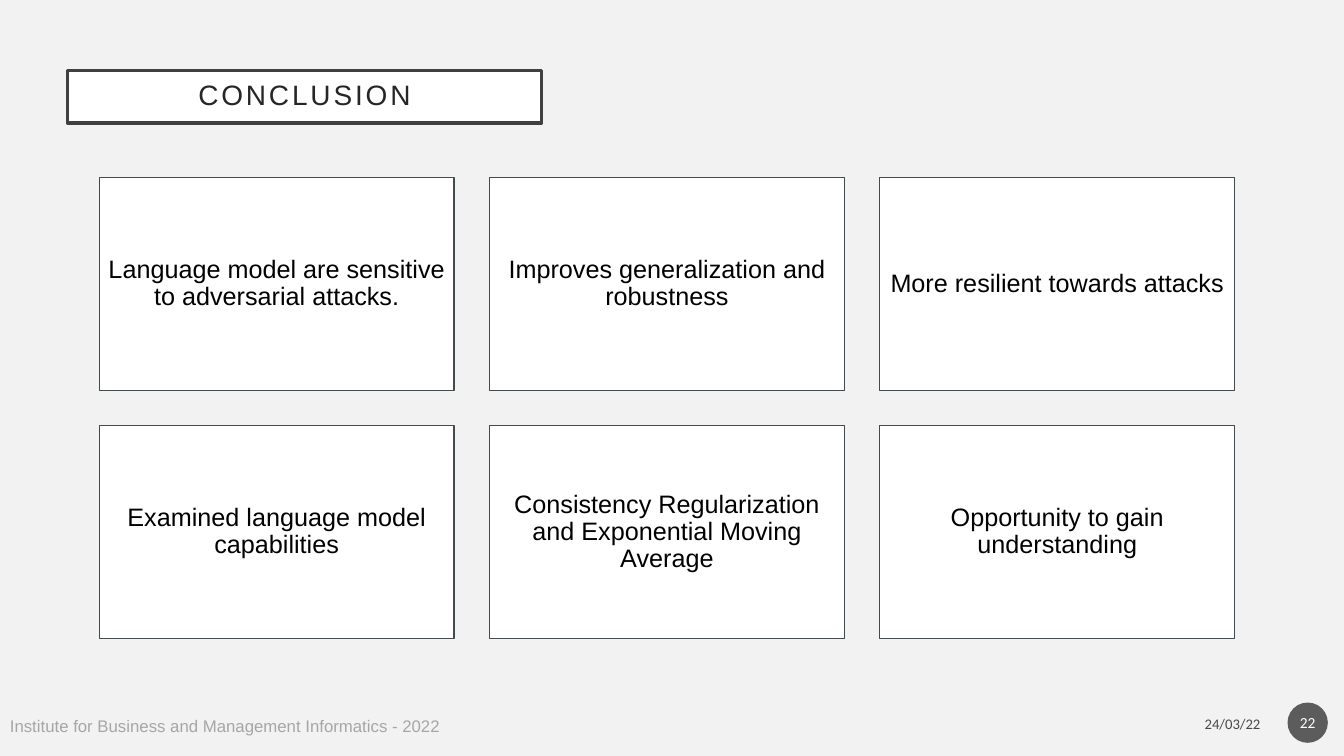
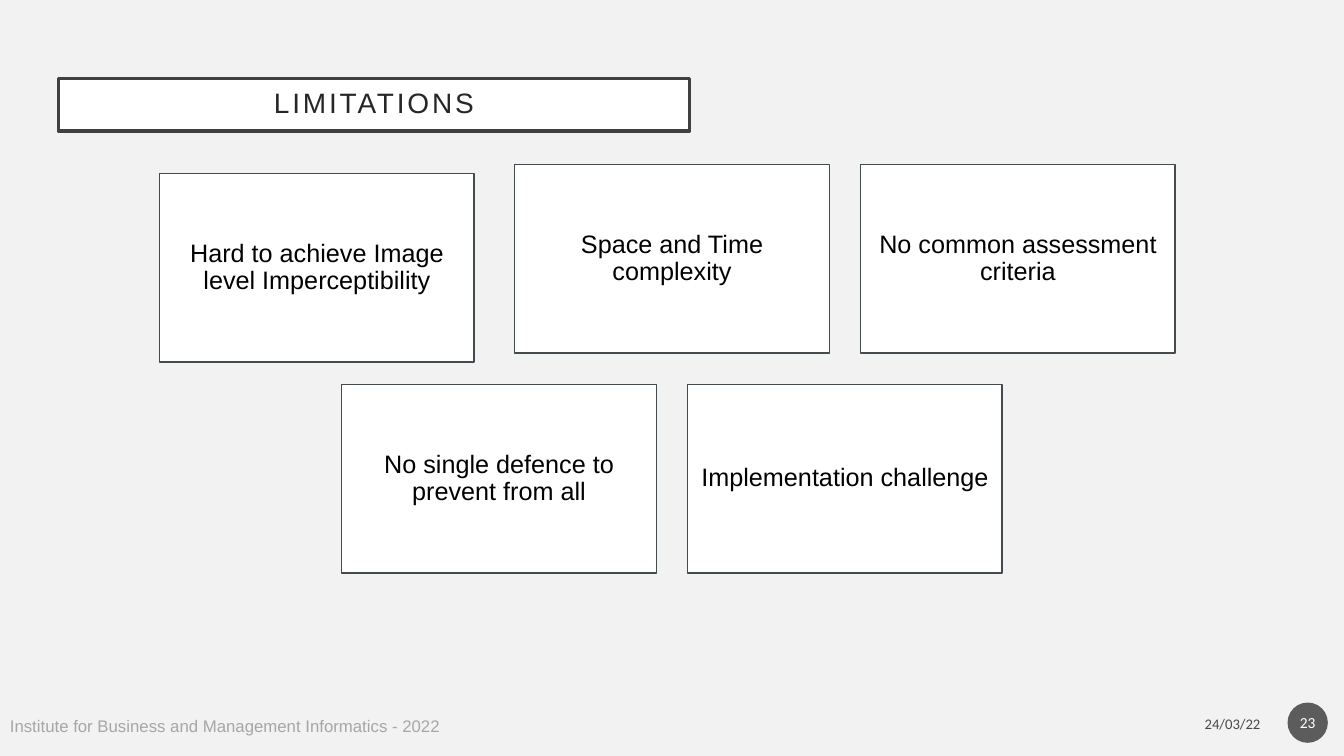
from dataclasses import dataclass

from lxml.etree import SubElement
from pptx import Presentation
from pptx.dml.color import RGBColor as Color
from pptx.enum.shapes import MSO_SHAPE as Shape
from pptx.enum.text import MSO_ANCHOR as Anchor, MSO_AUTO_SIZE as AutoSize, PP_ALIGN as Align
from pptx.oxml.ns import qn
from pptx.util import Inches, Pt


@dataclass(frozen=True)
class Theme:
    page: Color = Color.from_string("F2F2F2")
    panel: Color = Color.from_string("FFFFFF")
    title_ink: Color = Color.from_string("262626")
    title_edge: Color = Color.from_string("404040")
    card_ink: Color = Color.from_string("000000")
    card_edge: Color = Color.from_string("434B4E")
    footer_ink: Color = Color.from_string("A6A6A6")
    badge: Color = Color.from_string("1D1D1D")
    heading_font: str = "Arial"
    detail_font: str = "Calibri"
    title_size: float = 20
    card_size: float = 18
    footer_size: float = 12
    date_size: float = 10.5
    number_size: float = 11
    opacity: str = "70000"


theme = Theme()
deck = Presentation()
deck.slide_width, deck.slide_height = Inches(13.33), Inches(7.5)
ASPECT = deck.slide_width / deck.slide_height
CARD_RATIO = 0.6
GAP_RATIO = 0.1


def area(left, top, width, height):
    across, down = deck.slide_width / 100, deck.slide_height / 100
    return [int(left * across), int(top * down), int(width * across), int(height * down)]


def write(shape, text, size, ink, font=theme.heading_font, align=Align.CENTER, inset=(0.1, 0.05), spacing=1.0):
    frame = shape.text_frame
    frame.text = text
    frame.word_wrap = True
    frame.auto_size = AutoSize.NONE
    frame.vertical_anchor = Anchor.MIDDLE
    frame.margin_left = frame.margin_right = Inches(inset[0])
    frame.margin_top = frame.margin_bottom = Inches(inset[1])
    para = frame.paragraphs[0]
    para.alignment = align
    para.line_spacing = spacing
    para.font.name, para.font.size, para.font.color.rgb = font, Pt(size), ink
    return para


slides = [
    {
        "title": "CONCLUSION",
        "title_area": (5.03, 9.33, 35.26, 6.93),
        "number": "22",
        "card_width": 26.4,
        "centre": 49.62,
        "top": 23.47,
        "nudge": 0,
        "rows": [
            ["Language model are sensitive to adversarial attacks.",
             "Improves generalization and robustness",
             "More resilient towards attacks"],
            ["Examined language model capabilities",
             "Consistency Regularization and Exponential Moving Average",
             "Opportunity to gain understanding"],
        ],
    },
    {
        "title": "LIMITATIONS",
        "title_area": (4.35, 10.4, 46.96, 6.93),
        "number": "23",
        "card_width": 23.4,
        "centre": 50,
        "top": 21.73,
        "nudge": 0.68,
        "rows": [
            ["Hard to achieve Image level Imperceptibility",
             "Space and Time complexity",
             "No common assessment criteria"],
            ["No single defence to prevent from all",
             "Implementation challenge"],
        ],
    },
]

master = deck.slide_master
master.background.fill.solid()
master.background.fill.fore_color.rgb = theme.page

for content in slides:
    page = deck.slides.add_slide(deck.slide_layouts.get_by_name("Title Only"))

    if content is slides[0]:
        footer = page.shapes.add_textbox(*area(0, 94, 33.83, 4))
        write(footer, "Institute for Business and Management Informatics - 2022",
              theme.footer_size, theme.footer_ink, align=Align.LEFT)
        footer.text_frame.word_wrap = False
        master.shapes._spTree.append(footer._element)

    title = page.shapes.title
    title.left, title.top, title.width, title.height = area(*content["title_area"])
    title.fill.solid()
    title.fill.fore_color.rgb = theme.panel
    title.line.color.rgb = theme.title_edge
    title.line.width = Pt(2.5)
    para = write(title, content["title"], theme.title_size, theme.title_ink, inset=(0.2, 0.2), spacing=0.9)
    para.runs[0].font._element.set("spc", "200")

    date = page.shapes.add_textbox(*area(71.94, 93.33, 22.58, 4.67))
    para = write(date, "24/03/22", theme.date_size, theme.card_ink, theme.detail_font, Align.RIGHT)

    badge = page.shapes.add_shape(Shape.OVAL, *area(95.8, 92.93, 3, 5.33))
    badge.shadow.inherit = False
    badge.fill.solid()
    badge.fill.fore_color.rgb = theme.badge
    badge.line.fill.background()
    write(badge, content["number"], theme.number_size, theme.panel, theme.detail_font, inset=(0.02, 0.05))

    for holder in (para._p.pPr, badge._element.spPr):
        colour = next(holder.iter(qn("a:srgbClr")))
        SubElement(colour, qn("a:alpha")).set("val", theme.opacity)

    width = content["card_width"]
    height = width * CARD_RATIO * ASPECT
    gap_across = width * GAP_RATIO
    gap_down = gap_across * ASPECT
    for row, labels in enumerate(content["rows"]):
        row_width = len(labels) * (width + gap_across) - gap_across
        row_left = content["centre"] - row_width / 2
        for column, label in enumerate(labels):
            nudge = content["nudge"] if row == column == 0 else 0
            left = row_left + column * (width + gap_across) - nudge
            top = content["top"] + row * (height + gap_down) + nudge * ASPECT
            card = page.shapes.add_shape(Shape.RECTANGLE, *area(left, top, width, height))
            card.shadow.inherit = False
            card.fill.solid()
            card.fill.fore_color.rgb = theme.panel
            card.line.color.rgb = theme.card_edge
            card.line.width = Pt(1)
            write(card, label, theme.card_size, theme.card_ink, inset=(0.07, 0.07), spacing=0.9)

deck.save("out.pptx")
